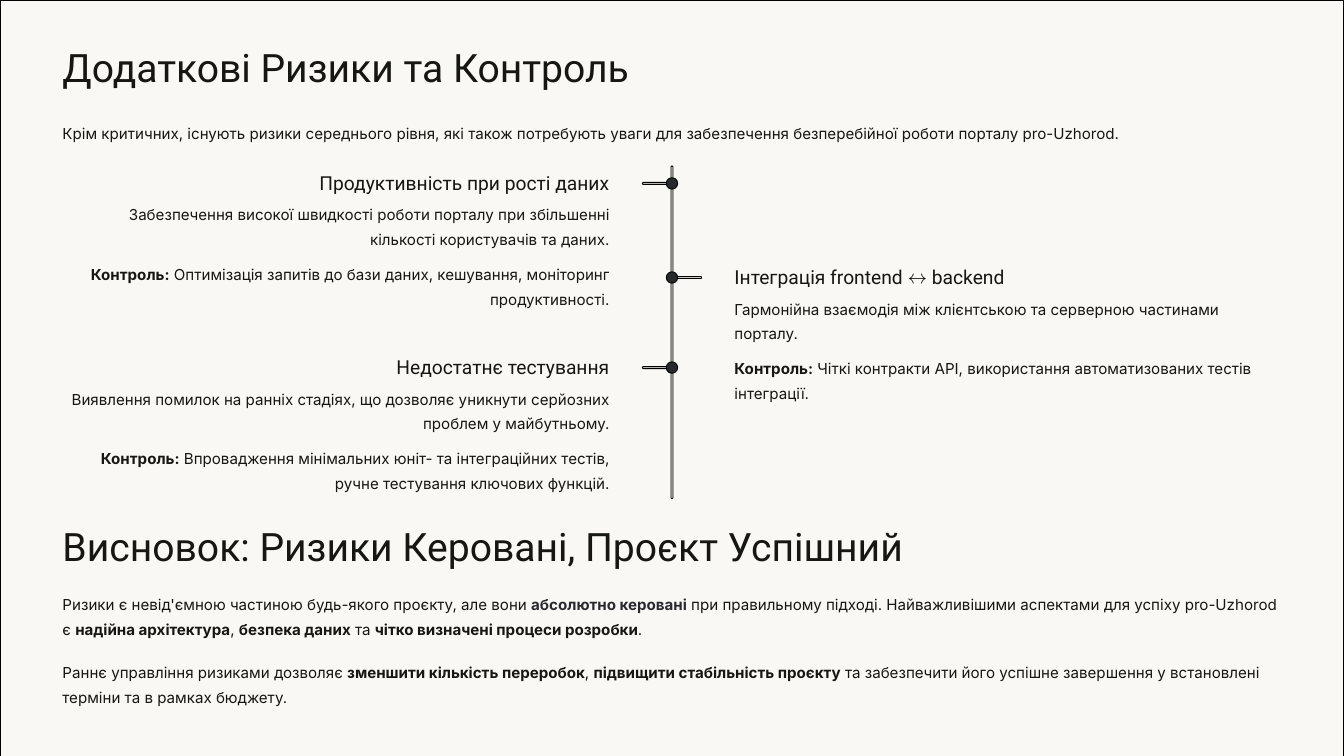
from pptx import Presentation
from pptx.dml.color import RGBColor
from pptx.enum.shapes import MSO_SHAPE
from pptx.enum.text import PP_ALIGN
from pptx.util import Inches, Pt

INK = RGBColor(0x16, 0x16, 0x13)
BLACK = RGBColor(0, 0, 0)
DARK = RGBColor(0x28, 0x28, 0x2F)
RAIL = RGBColor(0xD3, 0xD1, 0xC9)
PAPER = RGBColor(0xF9, 0xF8, 0xF5)

# Text styles: font, size, line spacing, box height for one line
TITLE = ("Roboto", 41.9, 51.9, 0.75)
HEADING = ("Roboto", 20.6, 25.6, 0.37)
BODY = ("Inter", 16.2, 26.2, 0.46)
TWO_LINES = ("Inter", 16.2, 26.2, 0.83)

# Content: a run is (text, bold, colour)
def plain(text, color=INK):
    return text, False, color


def bold(text, color=INK):
    return text, True, color


# Full-width blocks: top, width, style, runs
BLOCKS = [
    (0.62, 8.64, TITLE, [plain("Додаткові Ризики та Контроль")]),
    (1.75, 18.14, BODY, [plain(
        "Крім критичних, існують ризики середнього рівня, які також потребують уваги "
        "для забезпечення безперебійної роботи порталу pro-Uzhorod.")]),
    (7.75, 12.95, TITLE, [plain("Висновок: Ризики Керовані, Проєкт Успішний")]),
    (8.77, 18.14, TWO_LINES, [
        plain("Ризики є невід'ємною частиною будь-якого проєкту, але вони "),
        bold("абсолютно керовані", DARK),
        plain(" при правильному підході. Найважливішими аспектами для успіху pro-Uzhorod є "),
        bold("надійна архітектура"), plain(", "), bold("безпека даних"), plain(" та "),
        bold("чітко визначені процеси розробки"), plain(".")]),
    (9.78, 18.14, TWO_LINES, [
        plain("Раннє управління ризиками дозволяє "),
        bold("зменшити кількість переробок"), plain(", "),
        bold("підвищити стабільність проєкту"),
        plain(" та забезпечити його успішне завершення у встановлені терміни "
              "та в рамках бюджету.")]),
]

# Timeline: node height, side, heading width, heading runs, description, control
RISKS = [
    (2.73, "left", 4.55, [plain("Продуктивність при рості даних")],
     "Забезпечення високої швидкості роботи порталу при збільшенні кількості "
     "користувачів та даних.",
     "Оптимізація запитів до бази даних, кешування, моніторинг продуктивності."),
    (4.13, "right", 4.41,
     [plain("Інтеграція frontend "), plain("↔", BLACK), plain(" backend")],
     "Гармонійна взаємодія між клієнтською та серверною частинами порталу.",
     "Чіткі контракти API, використання автоматизованих тестів інтеграції."),
    (5.47, "left", 3.28, [plain("Недостатнє тестування")],
     "Виявлення помилок на ранніх стадіях, що дозволяє уникнути серйозних проблем "
     "у майбутньому.",
     "Впровадження мінімальних юніт- та інтеграційних тестів, ручне тестування "
     "ключових функцій."),
]

MARGIN = 0.93
CENTER = 10
COLUMN_WIDTH = 8.14
COLUMN_GAP = 0.93
ARM_LENGTH = 0.47
BAR = 0.03
DOT = 0.17

presentation = Presentation()
presentation.slide_width = Inches(20)
presentation.slide_height = Inches(11.25)
slide = presentation.slides.add_slide(presentation.slide_layouts[6])


def add_shape(kind, left, top, width, height, fill):
    shape = slide.shapes.add_shape(
        kind, Inches(left), Inches(top), Inches(width), Inches(height))
    shape.shadow.inherit = False
    shape.fill.solid()
    shape.fill.fore_color.rgb = fill
    shape.line.color.rgb = BLACK
    shape.line.width = Pt(1)
    return shape


def add_bar(left, top, width, height):
    add_shape(MSO_SHAPE.ROUNDED_RECTANGLE, left, top, width, height, RAIL).adjustments[0] = 0.5


def add_text(left, top, width, style, runs, align=PP_ALIGN.LEFT):
    font_name, size, spacing, height = style
    box = slide.shapes.add_textbox(Inches(left), Inches(top), Inches(width), Inches(height))
    text_frame = box.text_frame
    text_frame.word_wrap = True
    text_frame.margin_left = text_frame.margin_right = 0
    text_frame.margin_top = text_frame.margin_bottom = 0
    paragraph = text_frame.paragraphs[0]
    paragraph.alignment = align
    paragraph.line_spacing = Pt(spacing)
    for text, is_bold, color in runs:
        run = paragraph.add_run()
        run.text = text
        run.font.name = font_name
        run.font.size = Pt(size)
        run.font.bold = is_bold
        run.font.color.rgb = color


# Background panel
add_shape(MSO_SHAPE.RECTANGLE, 0, 0, 20, 11.25, PAPER)

# Titles and paragraphs
for top, width, style, runs in BLOCKS:
    add_text(MARGIN, top, width, style, runs)

# Timeline rail
add_bar(CENTER - BAR / 2, 2.47, BAR, 4.95)

# Risks on either side of the rail
for node, side, heading_width, heading, description, control in RISKS:
    on_left = side == "left"
    arm_left = CENTER + BAR - ARM_LENGTH if on_left else CENTER - BAR
    add_bar(arm_left, node - BAR / 2, ARM_LENGTH, BAR)
    add_shape(MSO_SHAPE.OVAL, CENTER - DOT / 2, node - DOT / 2, DOT, DOT, DARK)

    align = PP_ALIGN.RIGHT if on_left else PP_ALIGN.LEFT
    rows = [
        (-0.19, heading_width, HEADING, heading),
        (0.24, COLUMN_WIDTH, TWO_LINES, [plain(description)]),
        (1.13, COLUMN_WIDTH, TWO_LINES, [bold("Контроль:"), plain(" " + control)]),
    ]
    for offset, width, style, runs in rows:
        left = CENTER - COLUMN_GAP - width if on_left else CENTER + COLUMN_GAP
        add_text(left, node + offset, width, style, runs, align)

presentation.save("out.pptx")
